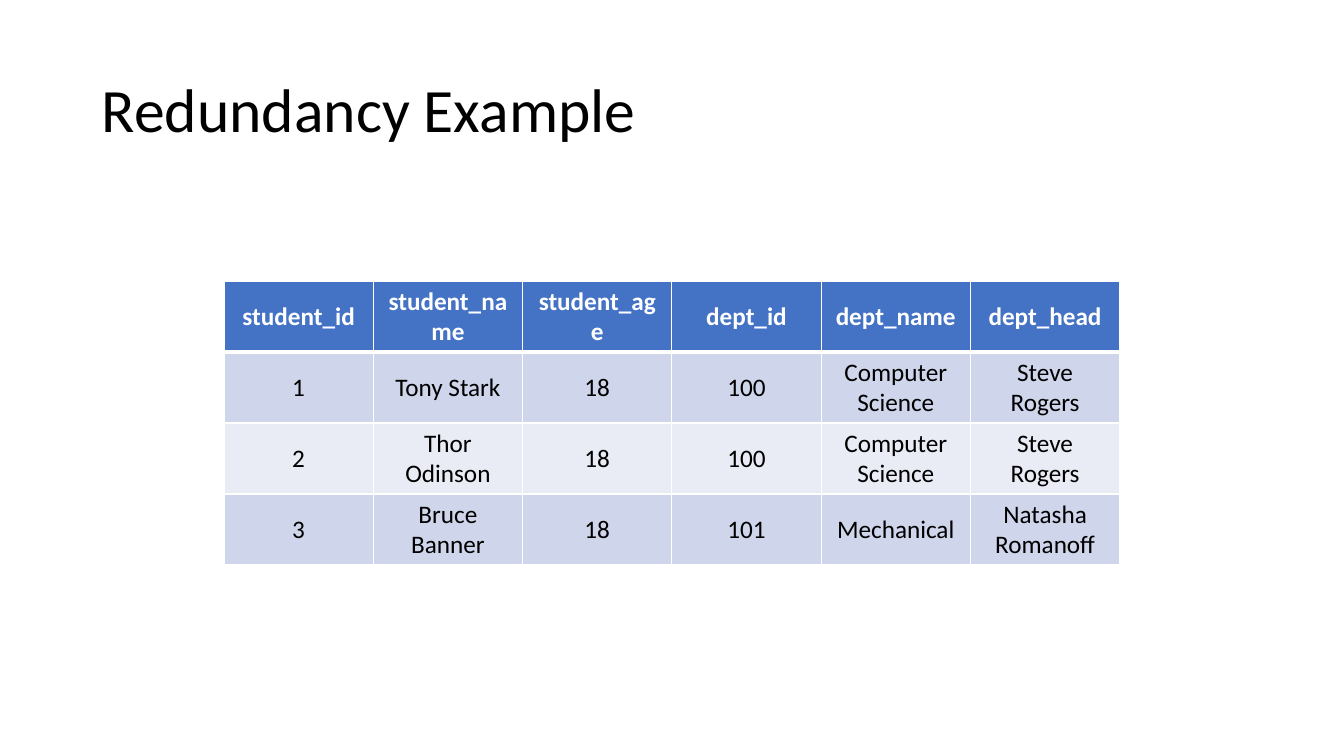
from pptx import Presentation, util as u
from pptx.dml.color import RGBColor
from pptx.enum import text
from pptx.oxml import parse_xml
from pptx.oxml.ns import nsdecls

# Content
TITLE = "Redundancy Example"
HEADER = ("student_id", "student_name", "student_age", "dept_id", "dept_name", "dept_head")
STUDENTS = [
    ("1", "Tony Stark", "18", "100", "Computer Science", "Steve Rogers"),
    ("2", "Thor Odinson", "18", "100", "Computer Science", "Steve Rogers"),
    ("3", "Bruce Banner", "18", "101", "Mechanical", "Natasha Romanoff"),
]

# Style and layout in px
FONT = "Calibri"
COLORS = {"text": "000000", "light": "FFFFFF", "header": "4472C4",
          "odd": "CFD5EA", "even": "E9EBF5"}
SLIDE_W, SLIDE_H = 1344, 756
TITLE_BOX = (92, 40, 1159, 146)
TABLE_X, TABLE_Y, TABLE_W, ROW_H = 224, 281, 896, 71
THIN, THICK = 1, 3


def px(n):
    return u.Emu(round(n * 914400 / 100.8))


def add_run(p, words, size, color, bold=False):
    r = p.add_run()
    r.text = words
    r.font.name, r.font.size, r.font.bold = FONT, u.Pt(size), bold
    r.font.color.rgb = RGBColor.from_string(COLORS[color])


def set_border(cell, side, width):
    line = parse_xml(
        f'<a:{side} {nsdecls("a")} w="{u.Pt(width)}"><a:solidFill>'
        f'<a:srgbClr val="{COLORS["light"]}"/></a:solidFill></a:{side}>')
    cell._tc.get_or_add_tcPr().append(line)


def fill_cell(cell, words, fill, color, bold, top, bottom):
    for side, width in (("lnL", THIN), ("lnR", THIN), ("lnT", top), ("lnB", bottom)):
        set_border(cell, side, width)
    cell.fill.solid()
    cell.fill.fore_color.rgb = RGBColor.from_string(COLORS[fill])
    cell.vertical_anchor = text.MSO_ANCHOR.MIDDLE
    p = cell.text_frame.paragraphs[0]
    p.alignment = text.PP_ALIGN.CENTER
    add_run(p, words, 18, color, bold)


def main():
    prs = Presentation()
    prs.slide_width, prs.slide_height = px(SLIDE_W), px(SLIDE_H)
    s = prs.slides.add_slide(prs.slide_layouts[6])

    # Title
    tf = s.shapes.add_textbox(*map(px, TITLE_BOX)).text_frame
    tf.word_wrap = True
    tf.vertical_anchor = text.MSO_ANCHOR.MIDDLE
    p = tf.paragraphs[0]
    p.line_spacing = 0.9
    add_run(p, TITLE, 44, "text")

    # Student table
    rows = [HEADER, *STUDENTS]
    table = s.shapes.add_table(
        len(rows), len(HEADER), px(TABLE_X), px(TABLE_Y),
        px(TABLE_W), px(ROW_H * len(rows))).table
    for i, row in enumerate(rows):
        is_header = i == 0
        fill = "header" if is_header else ("even", "odd")[i % 2]
        color = "light" if is_header else "text"
        top = THICK if i == 1 else THIN
        bottom = THICK if is_header else THIN
        for j, words in enumerate(row):
            fill_cell(table.cell(i, j), words, fill, color, is_header, top, bottom)

    prs.save("out.pptx")


if __name__ == "__main__":
    main()
